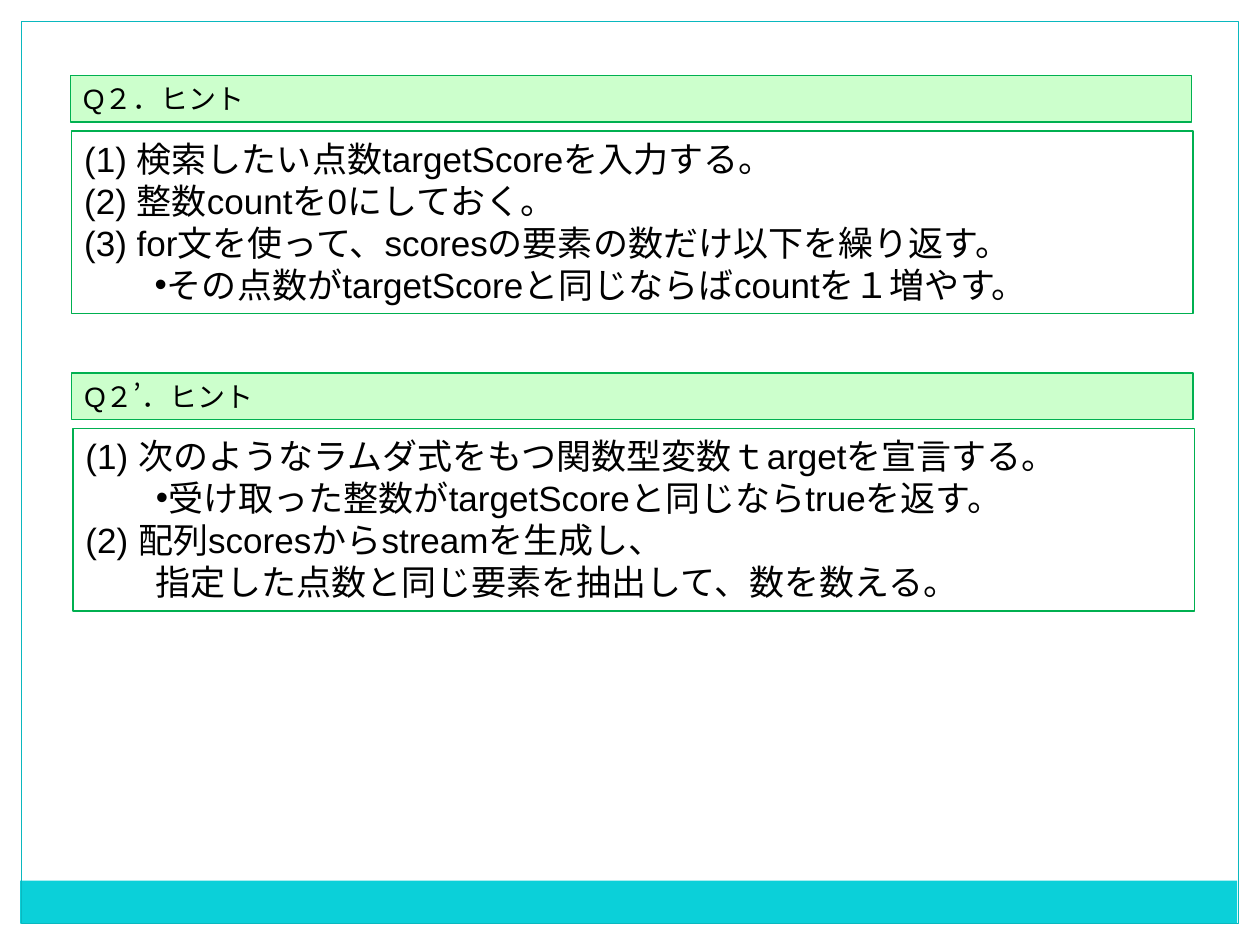
from lxml.etree import SubElement
from pptx import Presentation
from pptx.dml.color import RGBColor
from pptx.enum.lang import MSO_LANGUAGE_ID
from pptx.enum.shapes import MSO_SHAPE
from pptx.enum.text import MSO_ANCHOR, PP_ALIGN
from pptx.oxml.ns import qn
from pptx.util import Inches, Pt

GREEN, PALE_GREEN, WHITE = "00B050", "CCFFCC", "FFFFFF"
CYAN, DARK_CYAN = "0BD0D9", "0AB8BF"
INDENT, BULLET_WIDTH = 0.56, 0.09
BOX_WIDTH, HEADER_HEIGHT, BODY_HEIGHT = 8.9, 0.37, 1.45
BODY_OFFSET = 0.44

# Each hint: left, top, heading, lines as (kind, text)
HINTS = [
    (0.56, 0.6, "Q２．ヒント", [
        ("step", "(1) 検索したい点数targetScoreを入力する。"),
        ("step", "(2) 整数countを0にしておく。"),
        ("step", "(3) for文を使って、scoresの要素の数だけ以下を繰り返す。"),
        ("bullet", "その点数がtargetScoreと同じならばcountを１増やす。"),
    ]),
    (0.57, 2.96, "Q２’．ヒント", [
        ("step", "(1) 次のようなラムダ式をもつ関数型変数ｔargetを宣言する。"),
        ("bullet", "受け取った整数がtargetScoreと同じならtrueを返す。"),
        ("step", "(2) 配列scoresからstreamを生成し、"),
        ("continued", "指定した点数と同じ要素を抽出して、数を数える。"),
    ]),
]


def color(value):
    return RGBColor.from_string(value)


def add_box(s, x, y, w, h, fill=None, line=None):
    sp = s.shapes.add_shape(MSO_SHAPE.RECTANGLE, *map(Inches, (x, y, w, h)))
    sp.shadow.inherit = False
    if fill:
        sp.fill.solid()
        sp.fill.fore_color.rgb = color(fill)
    else:
        sp.fill.background()
    if line:
        sp.line.color.rgb = color(line)
        sp.line.width = Pt(0.75)
    else:
        sp.line.fill.background()
    return sp


def set_indent(p, kind):
    """Indent a bullet or a continued line; steps stay at the margin."""
    if kind == "step":
        return
    pPr = p._p.get_or_add_pPr()
    hang = BULLET_WIDTH if kind == "bullet" else 0
    pPr.set("marL", str(Inches(INDENT + hang)))
    pPr.set("indent", str(-Inches(hang)))
    if kind == "bullet":
        SubElement(pPr, qn("a:buFont")).set("typeface", "Arial")
        SubElement(pPr, qn("a:buChar")).set("char", "•")


def add_text(p, text, size=20, font="Arial", fill="000000"):
    p.alignment = PP_ALIGN.LEFT
    r = p.add_run()
    r.text = text
    r.font.size = Pt(size)
    r.font.name = font
    r.font.color.rgb = color(fill)
    r.font.language_id = MSO_LANGUAGE_ID.JAPANESE


def add_lines(sp, lines, **fmt):
    tf = sp.text_frame
    tf.word_wrap = True
    tf.vertical_anchor = MSO_ANCHOR.TOP
    for i, (kind, text) in enumerate(lines):
        p = tf.add_paragraph() if i else tf.paragraphs[0]
        set_indent(p, kind)
        add_text(p, text, **fmt)


def add_frame(s):
    add_box(s, 0.16, 6.99, 9.66, 0.34, fill=CYAN)
    add_box(s, 0.17, 0.17, 9.66, 7.16, line=DARK_CYAN)


def add_hint(s, x, y, heading, lines):
    header = add_box(s, x, y, BOX_WIDTH, HEADER_HEIGHT, PALE_GREEN, GREEN)
    add_lines(header, [("step", heading)], size=16)
    body = add_box(s, x + 0.01, y + BODY_OFFSET, BOX_WIDTH, BODY_HEIGHT, WHITE, GREEN)
    add_lines(body, lines)


def main():
    prs = Presentation()
    prs.slide_width, prs.slide_height = Inches(10), Inches(7.5)
    s = prs.slides.add_slide(prs.slide_layouts[6])
    add_frame(s)
    for hint in HINTS:
        add_hint(s, *hint)
    prs.save("out.pptx")


if __name__ == "__main__":
    main()
